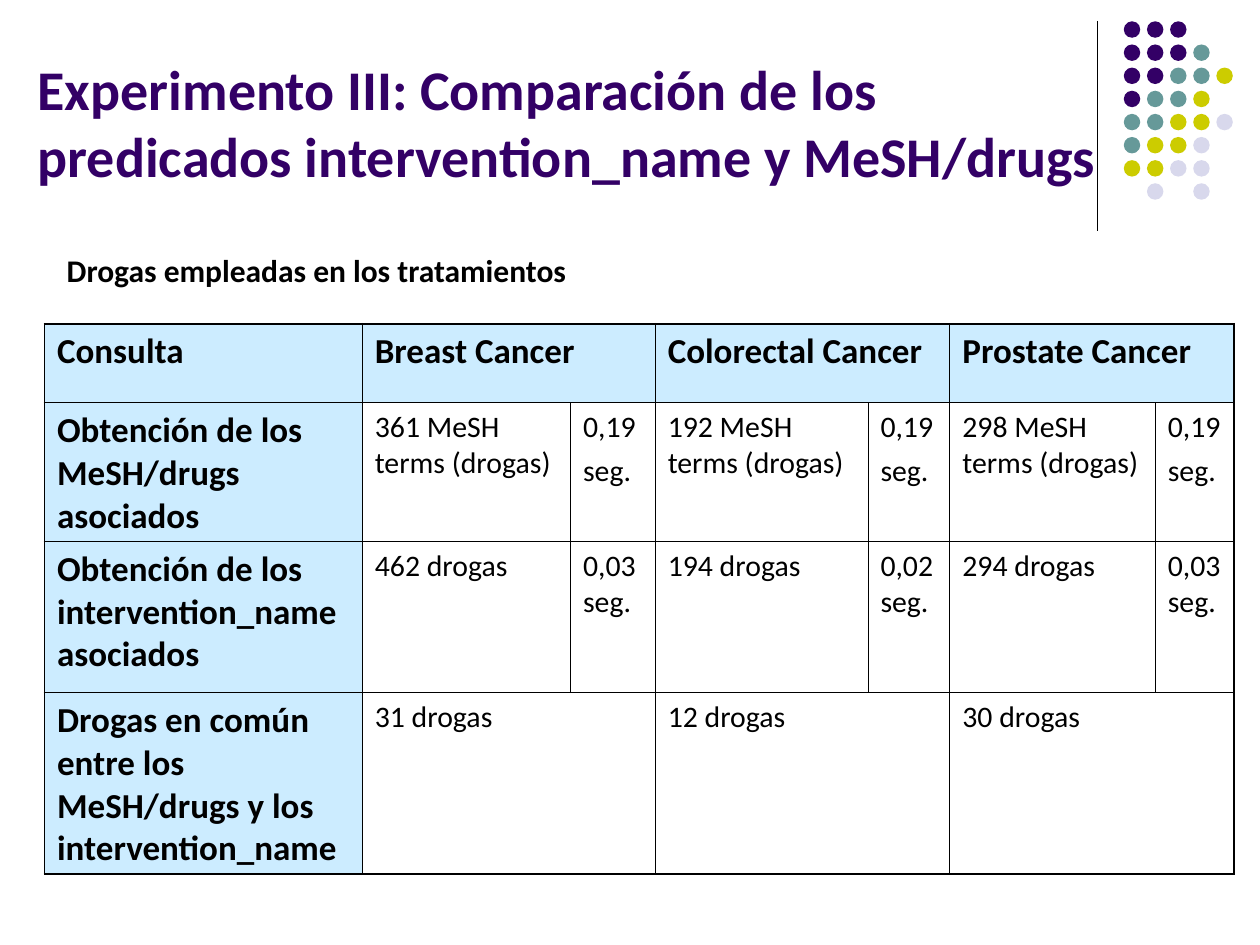
from dataclasses import dataclass

from lxml import etree
from pptx import Presentation
from pptx.dml.color import RGBColor
from pptx.enum.shapes import MSO_CONNECTOR, MSO_SHAPE
from pptx.enum.text import MSO_ANCHOR
from pptx.oxml.ns import qn
from pptx.util import Pt

OVAL = MSO_SHAPE.OVAL
STRAIGHT = MSO_CONNECTOR.STRAIGHT
TOP, BOTTOM = MSO_ANCHOR.TOP, MSO_ANCHOR.BOTTOM


@dataclass(frozen=True)
class Theme:
    font: str = "Calibri"
    purple: str = "330066"
    teal: str = "669999"
    olive: str = "CCCC00"
    lavender: str = "D8D8EC"
    black: str = "000000"
    label_fill: str = "CCECFF"
    title_size: float = 32
    label_size: float = 20
    subtitle_size: float = 18
    value_size: float = 17
    rule_width: float = 0.75
    inner_border: float = 0.45
    outer_border: float = 1.08


THEME = Theme()

DOT_COLORS = {"P": THEME.purple, "T": THEME.teal, "O": THEME.olive, "L": THEME.lavender}
DOT_ROWS = ["PPP", "PPPT", "PPTTO", "PTTO", "TTOOL", "TOOL", "OOLL", ".L.L"]
DOT_LEFT, DOT_TOP, DOT_PITCH, DOT_SIZE = 642.2, 12.2, 13.22, 9.4

COLUMN_WIDTHS = [181.6, 119, 48.4, 121.6, 46.8, 117.4, 45.2]
ROW_HEIGHTS = [45.2, 79.2, 86.4, 103.6]

# Each cell is a list of paragraphs; None continues the cell to its left.
TABLE_ROWS = [
    [["Consulta"], ["Breast Cancer"], None, ["Colorectal Cancer"], None,
     ["Prostate Cancer"], None],
    [["Obtención de los MeSH/drugs asociados"],
     ["361 MeSH terms (drogas)"], ["0,19", "seg."],
     ["192 MeSH terms (drogas)"], ["0,19", "seg."],
     ["298 MeSH terms (drogas)"], ["0,19", "seg."]],
    [["Obtención de los intervention_name asociados"],
     ["462 drogas"], ["0,03 seg."], ["194 drogas"], ["0,02 seg."],
     ["294 drogas"], ["0,03 seg."]],
    [["Drogas en común entre los MeSH/drugs y los intervention_name"],
     ["31 drogas"], None, ["12 drogas"], None, ["30 drogas"], None],
]


def add_span(para, text, size, color, bold):
    span = para.add_run()
    span.text = text
    span.font.name = THEME.font
    span.font.size = Pt(size)
    span.font.bold = bold
    span.font.color.rgb = RGBColor.from_string(color)


def add_heading(page, place, lines, size, color, anchor):
    """Add a bold text box whose lines are parted by line breaks."""
    box = page.shapes.add_textbox(*map(Pt, place))
    frame = box.text_frame
    frame.word_wrap = True
    frame.vertical_anchor = anchor
    para = frame.paragraphs[0]
    for index, line in enumerate(lines):
        if index:
            para.add_line_break()
        add_span(para, line, size, color, True)


def add_rule(page, x, top, bottom):
    rule = page.shapes.add_connector(STRAIGHT, Pt(x), Pt(top), Pt(x), Pt(bottom))
    rule.line.color.rgb = RGBColor.from_string(THEME.black)
    rule.line.width = Pt(THEME.rule_width)
    etree.SubElement(rule._element.spPr, qn("a:effectLst"))


def add_dots(page):
    group = page.shapes.add_group_shape()
    for row, marks in enumerate(DOT_ROWS):
        for column, mark in enumerate(marks):
            if mark not in DOT_COLORS:
                continue
            dot = group.shapes.add_shape(
                OVAL, Pt(DOT_LEFT + column * DOT_PITCH), Pt(DOT_TOP + row * DOT_PITCH),
                Pt(DOT_SIZE), Pt(DOT_SIZE))
            dot.shadow.inherit = False
            dot.fill.solid()
            dot.fill.fore_color.rgb = RGBColor.from_string(DOT_COLORS[mark])
            dot.line.fill.background()


def set_borders(cell, outer_sides):
    properties = cell._tc.get_or_add_tcPr()
    for side in "LRTB":
        width = THEME.outer_border if side in outer_sides else THEME.inner_border
        line = etree.SubElement(properties, qn(f"a:ln{side}"), w=str(int(Pt(width))))
        fill = etree.SubElement(line, qn("a:solidFill"))
        etree.SubElement(fill, qn("a:srgbClr"), val=THEME.black)


def find_outer_sides(row, first, last):
    """Name the sides of a cell, spanning first to last, on the table's edge."""
    edges = {"L": first == 0, "R": last == len(COLUMN_WIDTHS) - 1,
             "T": row == 0, "B": row == len(ROW_HEIGHTS) - 1}
    return [side for side, is_outer in edges.items() if is_outer]


def fill_cell(cell, texts, is_label):
    if is_label:
        cell.fill.solid()
        cell.fill.fore_color.rgb = RGBColor.from_string(THEME.label_fill)
    else:
        cell.fill.background()
    size = THEME.label_size if is_label else THEME.value_size
    frame = cell.text_frame
    for index, text in enumerate(texts or []):
        para = frame.add_paragraph() if index else frame.paragraphs[0]
        if index:
            para.space_before = Pt(4.2)
        add_span(para, text, size, THEME.black, is_label)


def add_results_table(page, left, top):
    frame = page.shapes.add_table(
        len(ROW_HEIGHTS), len(COLUMN_WIDTHS), Pt(left), Pt(top),
        Pt(sum(COLUMN_WIDTHS)), Pt(sum(ROW_HEIGHTS)))
    table = frame.table
    table.first_row = False
    table.horz_banding = False
    for column, width in zip(table.columns, COLUMN_WIDTHS):
        column.width = Pt(width)
    for row, height in zip(table.rows, ROW_HEIGHTS):
        row.height = Pt(height)
    for row, entries in enumerate(TABLE_ROWS):
        for column, texts in enumerate(entries):
            cell = table.cell(row, column)
            last = column
            if texts and entries[column + 1:column + 2] == [None]:
                last = column + 1
                cell.merge(table.cell(row, last))
            set_borders(cell, find_outer_sides(row, column, last))
            fill_cell(cell, texts, row == 0 or column == 0)


def main():
    deck = Presentation()
    deck.slide_width, deck.slide_height = Pt(720), Pt(540)
    page = deck.slides.add_slide(deck.slide_layouts[6])
    add_rule(page, 627, 12, 132)
    add_dots(page)
    add_heading(page, (14.4, 9.4, 658, 102.2),
                ["Experimento III: Comparación de los",
                 "predicados intervention_name y MeSH/drugs"],
                THEME.title_size, THEME.purple, BOTTOM)
    add_results_table(page, 25.4, 185)
    add_heading(page, (31, 139.8, 658, 29), ["Drogas empleadas en los tratamientos"],
                THEME.subtitle_size, THEME.black, TOP)
    deck.save("out.pptx")


if __name__ == "__main__":
    main()
